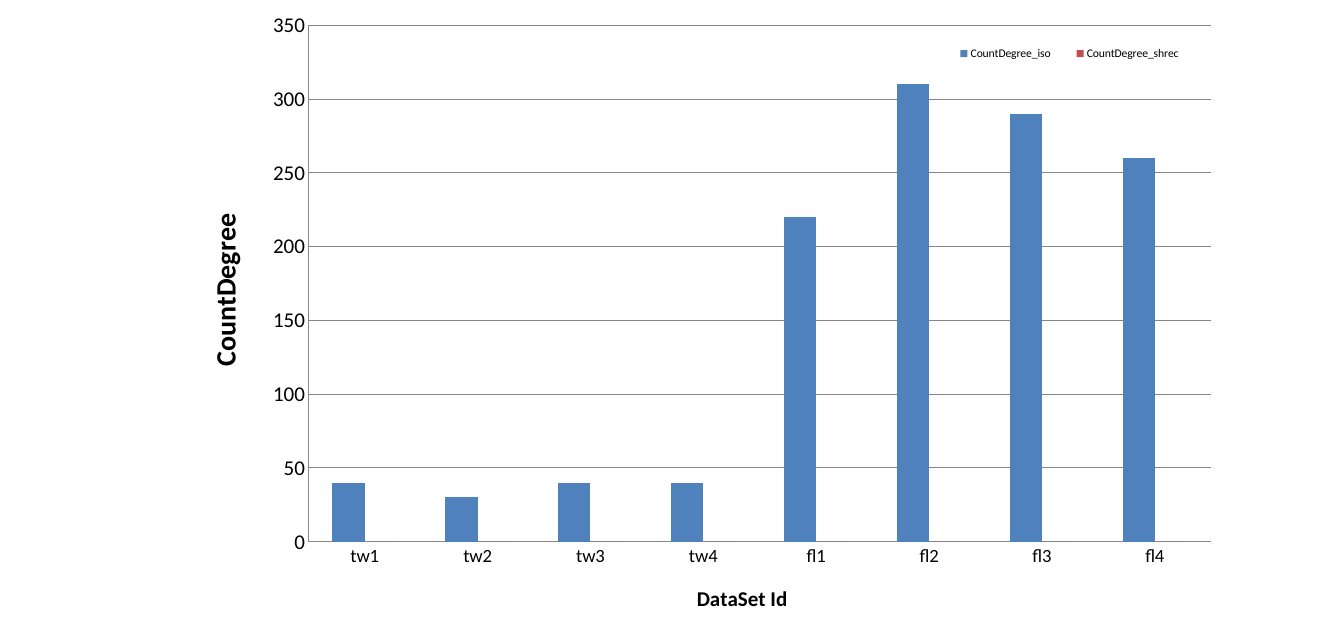
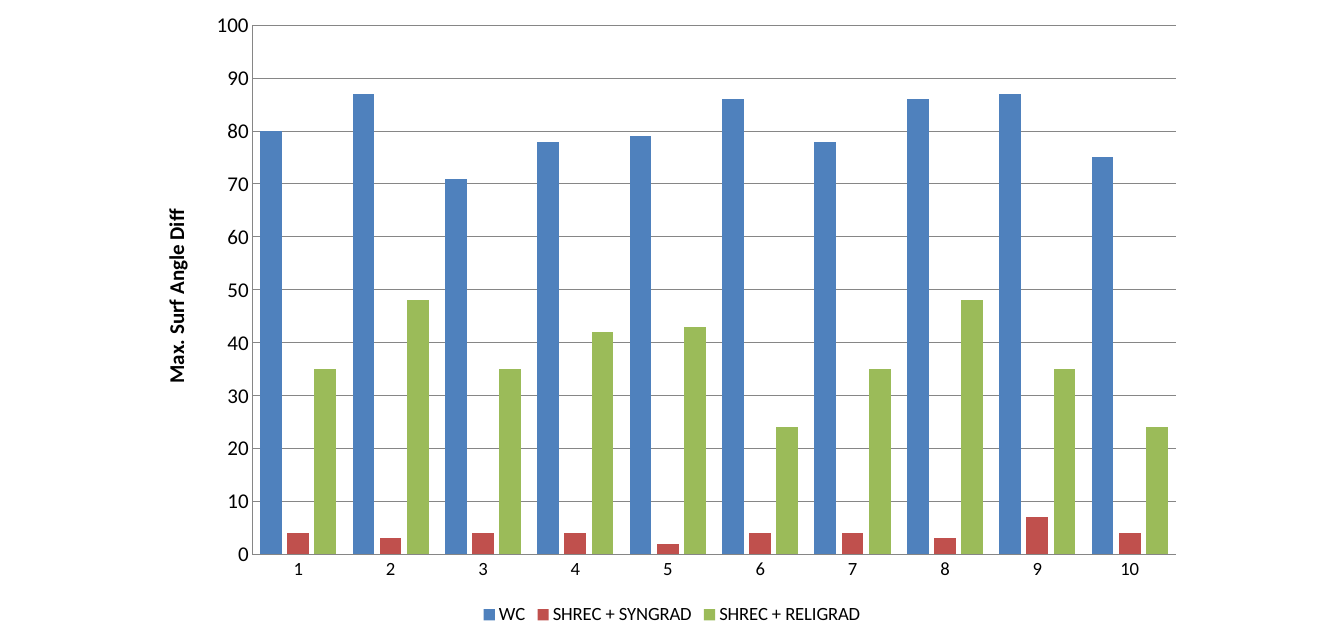
from dataclasses import dataclass

from pptx import Presentation
from pptx.chart.data import CategoryChartData
from pptx.dml.color import RGBColor
from pptx.enum.chart import XL_CHART_TYPE as ChartType
from pptx.enum.chart import XL_LEGEND_POSITION as LegendPosition
from pptx.enum.chart import XL_TICK_MARK as TickMark
from pptx.oxml import parse_xml
from pptx.oxml.ns import nsdecls
from pptx.util import Inches, Pt


@dataclass(frozen=True)
class Theme:
    """Colours and type sizes shared by both slides."""

    font: str = "Calibri"
    text: str = "000000"
    rule: str = "868686"
    series: tuple = ("4F81BD", "C0504D", "9BBB59")
    small: int = 10
    label: int = 16
    body: int = 18
    heading: int = 24
    hairline: float = 0.75


THEME = Theme()
SLIDE_WIDTH, SLIDE_HEIGHT = Inches(16), Inches(7.5)
CHART_WIDTH = Inches(12.5)


def style_font(font, size, bold=False):
    """Apply the theme's typeface and text colour."""
    font.name = THEME.font
    font.size = Pt(size)
    font.bold = bold
    font.color.rgb = RGBColor.from_string(THEME.text)


def style_line(line):
    """Draw a thin rule in the theme's grey."""
    line.color.rgb = RGBColor.from_string(THEME.rule)
    line.width = Pt(THEME.hairline)


def set_layout(parent, index, box, target=""):
    """Lay out a chart part by a box given as shares of the chart."""
    for layout in parent.xpath("./c:layout"):
        parent.remove(layout)
    left, top, width, height = box
    layout = parse_xml(
        f'<c:layout {nsdecls("c")}><c:manualLayout>{target}'
        '<c:xMode val="edge"/><c:yMode val="edge"/>'
        f'<c:x val="{left}"/><c:y val="{top}"/>'
        f'<c:w val="{width}"/><c:h val="{height}"/>'
        "</c:manualLayout></c:layout>"
    )
    parent.insert(index, layout)


def style_axis(axis, size, title=None, title_size=THEME.body):
    """Style an axis and give it a bold title if there is one."""
    axis.major_tick_mark = axis.minor_tick_mark = TickMark.NONE
    style_font(axis.tick_labels.font, size)
    style_line(axis.format.line)
    axis.has_title = title is not None
    if title:
        frame = axis.axis_title.text_frame
        frame.text = title
        style_font(frame.paragraphs[0].runs[0].font, title_size, bold=True)


def add_legend(chart, position, size, box=None):
    """Add a legend, laid over the plot when a box is given."""
    chart.has_legend = True
    legend = chart.legend
    legend.position = position
    legend.include_in_layout = box is not None
    style_font(legend.font, size)
    if box:
        set_layout(chart.element.xpath("//c:legend")[0], 1, box)


def add_column_chart(slide, left, categories, series, plot_box, maximum, step, gap, overlap=0):
    """Add a full-height clustered column chart with gridlines."""
    data = CategoryChartData()
    data.categories = categories
    for name, values in series.items():
        data.add_series(name, values)
    chart = slide.shapes.add_chart(
        ChartType.COLUMN_CLUSTERED, left, 0, CHART_WIDTH, SLIDE_HEIGHT, data
    ).chart
    chart.has_title = False
    plot = chart.plots[0]
    plot.gap_width, plot.overlap, plot.vary_by_categories = gap, overlap, False
    for column, color in zip(plot.series, THEME.series):
        column.format.fill.solid()
        column.format.fill.fore_color.rgb = RGBColor.from_string(color)
    axis = chart.value_axis
    axis.minimum_scale, axis.maximum_scale, axis.major_unit = 0, maximum, step
    axis.has_major_gridlines = True
    style_line(axis.major_gridlines.format.line)
    plot_area = chart.element.xpath("//c:plotArea")[0]
    set_layout(plot_area, 0, plot_box, '<c:layoutTarget val="inner"/>')
    return chart


def add_degree_slide(slide):
    """Compare the degree counts of the data sets."""
    chart = add_column_chart(
        slide,
        Inches(2.17),
        [f"{family}{number}" for family in ("tw", "fl") for number in range(1, 5)],
        {
            "CountDegree_iso": (40, 30, 40, 40, 220, 310, 290, 260),
            "CountDegree_shrec": (0,) * 8,
        },
        plot_box=(0.12, 0.04, 0.86, 0.82),
        maximum=350,
        step=50,
        gap=150,
    )
    style_font(chart.font, THEME.small)
    style_axis(chart.category_axis, THEME.label, "DataSet Id")
    style_axis(chart.value_axis, THEME.body, "CountDegree", THEME.heading)
    add_legend(chart, LegendPosition.RIGHT, THEME.small, (0.72, 0.05, 0.25, 0.07))


def add_angle_slide(slide):
    """Compare the largest surface angle differences of three methods."""
    chart = add_column_chart(
        slide,
        Inches(1.75),
        [str(number) for number in range(1, 11)],
        {
            "WC": (80, 87, 71, 78, 79, 86, 78, 86, 87, 75),
            "SHREC + SYNGRAD": (4, 3, 4, 4, 2, 4, 4, 3, 7, 4),
            "SHREC + RELIGRAD": (35, 48, 35, 42, 43, 24, 35, 48, 35, 24),
        },
        plot_box=(0.1, 0.04, 0.88, 0.84),
        maximum=100,
        step=10,
        gap=75,
        overlap=-25,
    )
    style_font(chart.font, THEME.body)
    style_axis(chart.category_axis, THEME.label)
    style_axis(chart.value_axis, THEME.body, "Max. Surf Angle Diff")
    add_legend(chart, LegendPosition.BOTTOM, THEME.label)


def main():
    """Build and save the two chart slides."""
    presentation = Presentation()
    presentation.slide_width, presentation.slide_height = SLIDE_WIDTH, SLIDE_HEIGHT
    blank = presentation.slide_layouts[6]
    for fill_slide in (add_degree_slide, add_angle_slide):
        fill_slide(presentation.slides.add_slide(blank))
    presentation.save("out.pptx")


if __name__ == "__main__":
    main()
